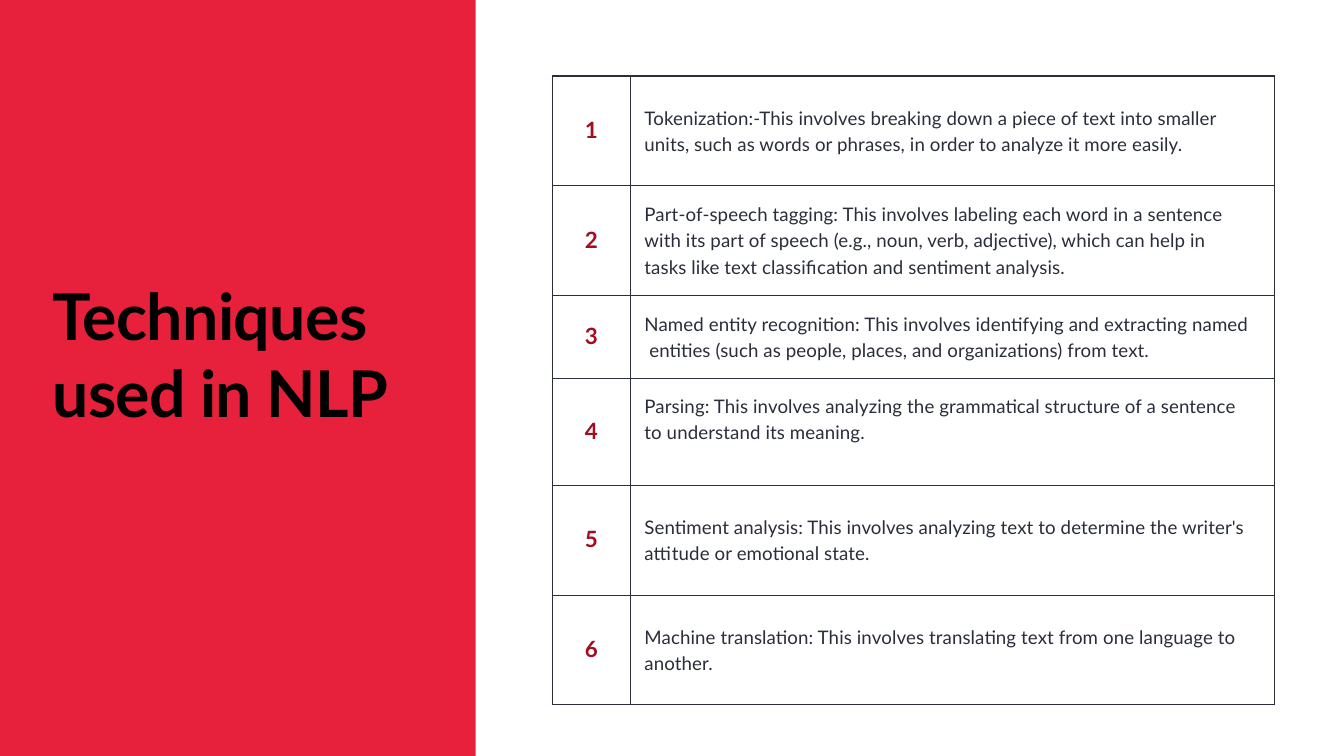
from dataclasses import dataclass

from lxml import etree
from pptx import Presentation
from pptx.dml.color import RGBColor
from pptx.enum.shapes import MSO_SHAPE
from pptx.enum.text import MSO_ANCHOR, MSO_AUTO_SIZE, PP_ALIGN
from pptx.oxml.ns import qn
from pptx.util import Inches, Pt

RECTANGLE = MSO_SHAPE.RECTANGLE
TOP, MIDDLE = MSO_ANCHOR.TOP, MSO_ANCHOR.MIDDLE
LEFT, CENTER = PP_ALIGN.LEFT, PP_ALIGN.CENTER
NO_AUTO_SIZE = MSO_AUTO_SIZE.NONE
TITLE_ONLY_LAYOUT = 5


@dataclass(frozen=True)
class Theme:
    font: str = "Lato"
    panel: str = "E7213B"
    title: str = "000000"
    number: str = "A20D20"
    body: str = "292E3A"
    border: str = "292E3A"
    title_size: float = 69
    title_leading: float = 82.5
    title_tracking: float = -0.7
    number_size: float = 24
    body_size: float = 20
    body_tracking: float = 0.1
    body_leading: float = 1.16
    outer_line: float = 1.5
    inner_line: float = 0.75


THEME = Theme()

# Row height, text and vertical anchor of each technique
TECHNIQUES = [
    (1.63, "Tokenization:-This involves breaking down a piece of text into smaller\v"
           "units, such as words or phrases, in order to analyze it more easily.", MIDDLE),
    (1.64, "Part-of-speech tagging: This involves labeling each word in a sentence\v"
           "with its part of speech (e.g., noun, verb, adjective), which can help in\v"
           "tasks like text classification and sentiment analysis.", MIDDLE),
    (1.23, "Named entity recognition: This involves identifying and extracting named\v"
           " entities (such as people, places, and organizations) from text.", MIDDLE),
    (1.59, "Parsing: This involves analyzing the grammatical structure of a sentence\v"
           "to understand its meaning.", TOP),
    (1.64, "Sentiment analysis: This involves analyzing text to determine the writer's\v"
           "attitude or emotional state.", MIDDLE),
    (1.63, "Machine translation: This involves translating text from one language to\v"
           "another.", MIDDLE),
]


def format_runs(paragraph, size, color, bold=False, tracking=0):
    for run in paragraph.runs:
        run.font.name = THEME.font
        run.font.size = Pt(size)
        run.font.bold = bold
        run.font.color.rgb = RGBColor.from_string(color)
        run.font._element.set("spc", str(round(tracking * 100)))


def set_margins(target, left=0, top=0, right=0, bottom=0):
    """Set the insets, in inches, of a cell or a text frame."""
    target.margin_left, target.margin_top = Inches(left), Inches(top)
    target.margin_right, target.margin_bottom = Inches(right), Inches(bottom)


def set_borders(cell, widths):
    """Draw the cell's left, right, top and bottom lines in the given points."""
    properties = cell._tc.get_or_add_tcPr()
    for side, width in zip(("L", "R", "T", "B"), widths):
        line = etree.SubElement(properties, qn(f"a:ln{side}"), w=str(Pt(width)))
        fill = etree.SubElement(line, qn("a:solidFill"))
        etree.SubElement(fill, qn("a:srgbClr"), val=THEME.border)


def add_panel(slide, left, top, width, height):
    panel = slide.shapes.add_shape(
        RECTANGLE, Inches(left), Inches(top), Inches(width), Inches(height))
    panel.shadow.inherit = False
    panel.fill.solid()
    panel.fill.fore_color.rgb = RGBColor.from_string(THEME.panel)
    panel.line.fill.background()


def place_title(slide, text, left, top, width, height):
    title = slide.shapes.title
    title.left, title.top = Inches(left), Inches(top)
    title.width, title.height = Inches(width), Inches(height)
    # The title stands in front of the panel
    slide.shapes._spTree.append(title._element)
    frame = title.text_frame
    frame.text = text
    frame.word_wrap = True
    frame.auto_size = NO_AUTO_SIZE
    frame.vertical_anchor = TOP
    set_margins(frame, left=0.01, top=0.03)
    paragraph = frame.paragraphs[0]
    paragraph.alignment = LEFT
    paragraph.line_spacing = Pt(THEME.title_leading)
    format_runs(paragraph, THEME.title_size, THEME.title, True, THEME.title_tracking)


def fill_number_cell(cell, number):
    cell.text_frame.text = str(number)
    cell.vertical_anchor = MIDDLE
    set_margins(cell, bottom=0.03)
    paragraph = cell.text_frame.paragraphs[0]
    paragraph.alignment = CENTER
    format_runs(paragraph, THEME.number_size, THEME.number, bold=True)


def fill_technique_cell(cell, text, anchor):
    cell.text_frame.text = text
    cell.vertical_anchor = anchor
    if anchor == TOP:
        set_margins(cell, left=0.21, top=0.19)
    else:
        set_margins(cell, left=0.21, bottom=0.05)
    paragraph = cell.text_frame.paragraphs[0]
    paragraph.alignment = LEFT
    paragraph.line_spacing = THEME.body_leading
    format_runs(paragraph, THEME.body_size, THEME.body, tracking=THEME.body_tracking)


def add_technique_table(slide, left, top, width, height, number_width=1.16):
    row_count = len(TECHNIQUES)
    table = slide.shapes.add_table(
        row_count, 2, Inches(left), Inches(top), Inches(width), Inches(height)).table
    table.first_row = table.horz_banding = False
    table.columns[0].width = Inches(number_width)
    table.columns[1].width = Inches(width - number_width)

    outer, inner = THEME.outer_line, THEME.inner_line
    for index, (row_height, text, anchor) in enumerate(TECHNIQUES):
        table.rows[index].height = Inches(row_height)
        number_cell, technique_cell = table.cell(index, 0), table.cell(index, 1)
        fill_number_cell(number_cell, index + 1)
        fill_technique_cell(technique_cell, text, anchor)
        upper = outer if index == 0 else inner
        lower = outer if index == row_count - 1 else inner
        set_borders(number_cell, (outer, inner, upper, lower))
        set_borders(technique_cell, (inner, outer, upper, lower))
        for cell in (number_cell, technique_cell):
            cell.fill.background()


def main():
    presentation = Presentation()
    presentation.slide_width = Inches(20)
    presentation.slide_height = Inches(11.25)
    slide = presentation.slides.add_slide(presentation.slide_layouts[TITLE_ONLY_LAYOUT])
    add_panel(slide, 0, 0, 7.08, 11.25)
    add_technique_table(slide, 8.22, 1.13, 10.75, 9.36)
    place_title(slide, "Techniques used in NLP", 0.77, 4.08, 5.51, 2.32)
    presentation.save("out.pptx")


if __name__ == "__main__":
    main()
